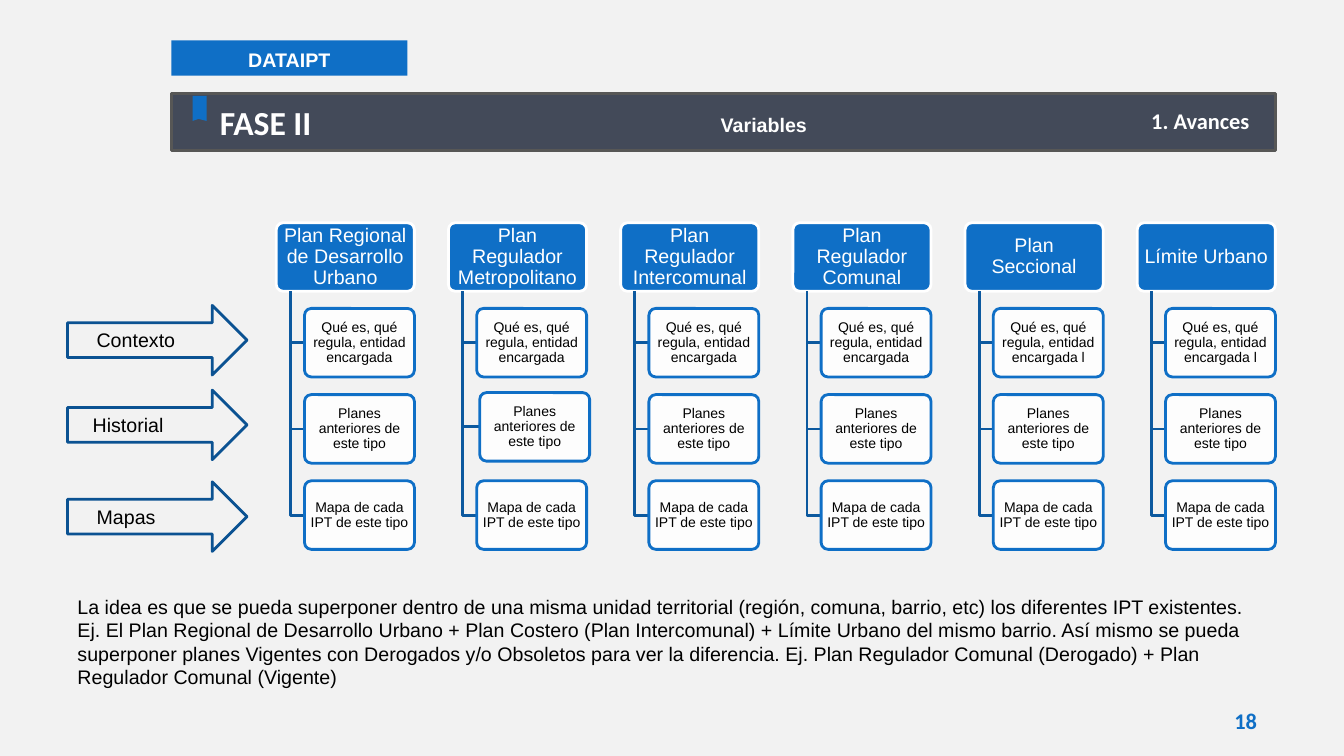
import dataclasses

import pptx
import pptx.dml.color
import pptx.enum.shapes
import pptx.enum.text
import pptx.oxml.ns
import pptx.shapes.autoshape
import pptx.shapes.base
import pptx.slide
import pptx.util

Inches = pptx.util.Inches
Kind = pptx.enum.shapes.MSO_SHAPE
Align = pptx.enum.text.PP_ALIGN
Anchor = pptx.enum.text.MSO_ANCHOR
Shape = pptx.shapes.autoshape.Shape
Slide = pptx.slide.Slide

HEX = {
    "back": "F2F2F2", "blue": "0F6FC6", "slate": "434A59", "edge": "575756",
    "elbow": "0C599F", "arrow": "0B5292", "white": "FFFFFF", "black": "000000",
}


@dataclasses.dataclass(frozen=True)
class Box:
    left: float
    top: float
    width: float
    height: float

    def lengths(self) -> tuple:
        return tuple(Inches(n) for n in dataclasses.astuple(self))


@dataclasses.dataclass(frozen=True)
class Style:
    size: int = 14
    color: str = "black"
    font: str = "Arial"
    bold: bool = False
    align: Align = Align.LEFT
    anchor: Anchor = Anchor.TOP
    pad: tuple = (0.1, 0.05)
    space: float = 1.0


@dataclasses.dataclass(frozen=True)
class Label:
    text: str
    box: Box
    style: Style = Style()


@dataclasses.dataclass(frozen=True)
class Plan:
    name: str
    context: str = "Qué es, qué regula, entidad encargada"
    shift: tuple = (0, 0)


BAR = Style(24, "white", "Calibri", True, anchor=Anchor.MIDDLE)
TAG = Style(14, "white", bold=True, align=Align.CENTER, space=1.1)
HEAD = Style(14, "white", align=Align.CENTER, anchor=Anchor.MIDDLE,
             pad=(0.03, 0.02), space=0.9)
LEAF = dataclasses.replace(HEAD, size=10, color="black", pad=(0.02, 0.01))

PLANS = [
    Plan("Plan Regional de Desarrollo Urbano"),
    Plan("Plan Regulador Metropolitano", shift=(0.03, -0.02)),
    Plan("Plan Regulador Intercomunal"),
    Plan("Plan Regulador Comunal"),
    Plan("Plan Seccional", "Qué es, qué regula, entidad encargada l"),
    Plan("Límite Urbano", "Qué es, qué regula, entidad encargada l"),
]
LEFT, TOP, STEP = 2.74, 2.21, (11.28 - 2.74) / 5
HIGH, WIDE, SLIM = 0.68, 1.37, 1.09
FIRST, DROP = 3.06, (4.77 - 3.06) / 2

LABELS = [
    Label("18", Box(12.05, 7, 0.61, 0.33),
          Style(16, "blue", "Calibri", True, Align.CENTER, pad=(0.05, 0.02))),
    Label("1. Avances", Box(11.32, 1.01, 1.3, 0.37),
          Style(16, "white", "Calibri", True)),
    Label("Variables", Box(7.05, 1.07, 1.3, 0.34), Style(color="white", bold=True)),
    Label("Contexto", Box(0.86, 3.2, 1.04, 0.35)),
    Label("Historial", Box(0.82, 4.05, 1.08, 0.35)),
    Label("Mapas", Box(0.86, 4.96, 0.81, 0.35)),
    Label("La idea es que se pueda superponer dentro de una misma unidad territorial "
          "(región, comuna, barrio, etc) los diferentes IPT existentes. Ej. El Plan "
          "Regional de Desarrollo Urbano + Plan Costero (Plan Intercomunal) + Límite "
          "Urbano del mismo barrio. Así mismo se pueda superponer planes Vigentes con "
          "Derogados y/o Obsoletos para ver la diferencia. Ej. Plan Regulador Comunal "
          "(Derogado) + Plan Regulador Comunal (Vigente)",
          Box(0.67, 5.85, 11.98, 1.04)),
]


def color(name: str) -> pptx.dml.color.RGBColor:
    return pptx.dml.color.RGBColor.from_string(HEX[name])


def paint(shape: Shape, fill: str = "", line: str = "") -> None:
    if fill:
        shape.fill.solid()
        shape.fill.fore_color.rgb = color(fill)
    else:
        shape.fill.background()
    if line:
        shape.line.color.rgb = color(line)
        shape.line.width = pptx.util.Pt(2)
    else:
        shape.line.fill.background()


def write(shape: pptx.shapes.base.BaseShape, text: str, style: Style) -> None:
    frame = shape.text_frame
    frame.text = text
    frame.word_wrap = True
    frame.auto_size = pptx.enum.text.MSO_AUTO_SIZE.NONE
    frame.vertical_anchor = style.anchor
    frame.margin_left = frame.margin_right = Inches(style.pad[0])
    frame.margin_top = frame.margin_bottom = Inches(style.pad[1])
    line = frame.paragraphs[0]
    line.alignment = style.align
    line.line_spacing = style.space
    font = line.runs[0].font
    font.size = pptx.util.Pt(style.size)
    font.name = style.font
    font.bold = style.bold
    font.color.rgb = color(style.color)


def add_box(slide: Slide, kind: Kind, box: Box, fill: str = "", line: str = "") -> Shape:
    shape = slide.shapes.add_shape(kind, *box.lengths())
    shape.shadow.inherit = False
    paint(shape, fill, line)
    return shape


def add_node(slide: Slide, box: Box, text: str, fill: str, line: str,
             style: Style) -> Shape:
    node = add_box(slide, Kind.ROUNDED_RECTANGLE, box, fill, line)
    node.adjustments[0] = 0.1
    write(node, text, style)
    return node


def add_path(slide: Slide, points: list, close: bool, fill: str = "",
             line: str = "") -> None:
    spots = [(Inches(x), Inches(y)) for x, y in points]
    form = slide.shapes.build_freeform(*spots[0])
    form.add_line_segments(spots[1:], close=close)
    shape = form.convert_to_shape()
    shape.shadow.inherit = False
    paint(shape, fill, line)


def fade(shape: Shape, amount: int) -> None:
    tag = pptx.oxml.ns.qn("a:srgbClr")
    tint = next(shape.fill.fore_color._xFill.iter(tag))
    alpha = tint.makeelement(pptx.oxml.ns.qn("a:alpha"), {"val": str(amount * 1000)})
    tint.append(alpha)


def add_plan(slide: Slide, plan: Plan, left: float) -> None:
    add_node(slide, Box(left, TOP, WIDE, HIGH), plan.name, "blue", "white", HEAD)
    texts = [plan.context, "Planes anteriores de este tipo",
             "Mapa de cada IPT de este tipo"]
    stem = left + 0.14
    for row, text in enumerate(texts):
        dx, dy = plan.shift if row == 1 else (0, 0)
        x, y = left + 0.28 + dx, FIRST + row * DROP + dy
        mid = y + HIGH / 2
        add_path(slide, [(stem, TOP + HIGH), (stem, mid), (x, mid)], False,
                 line="elbow")
        leaf = add_node(slide, Box(x, y, SLIM, HIGH), text, "white", "blue", LEAF)
        fade(leaf, 90)


def main() -> None:
    deck = pptx.Presentation()
    deck.slide_width, deck.slide_height = Inches(13.33), Inches(7.5)
    slide = deck.slides.add_slide(deck.slide_layouts[5])
    slide.background.fill.solid()
    slide.background.fill.fore_color.rgb = color("back")

    title = slide.shapes.title
    title.left, title.top, title.width, title.height = Box(
        1.7, 0.93, 10.95, 0.56).lengths()
    paint(title, "slate", "edge")
    write(title, "FASE II", BAR)
    title.text_frame.margin_left = Inches(0.48)

    tag = add_box(slide, Kind.RECTANGLE, Box(1.7, 0.4, 2.34, 0.35), "blue")
    write(tag, "DATAIPT", TAG)
    add_path(slide, [(2.05, 0.95), (2.05, 1.2), (1.97, 1.18), (1.91, 1.2),
                     (1.91, 0.95)], True, fill="blue")

    for col, plan in enumerate(PLANS):
        add_plan(slide, plan, LEFT + col * STEP)
    for top in (3.03, 3.87, 4.78):
        add_box(slide, Kind.RIGHT_ARROW, Box(0.67, top, 1.78, 0.69), line="arrow")
    for label in LABELS:
        write(slide.shapes.add_textbox(*label.box.lengths()), label.text, label.style)

    deck.save("out.pptx")


if __name__ == "__main__":
    main()
